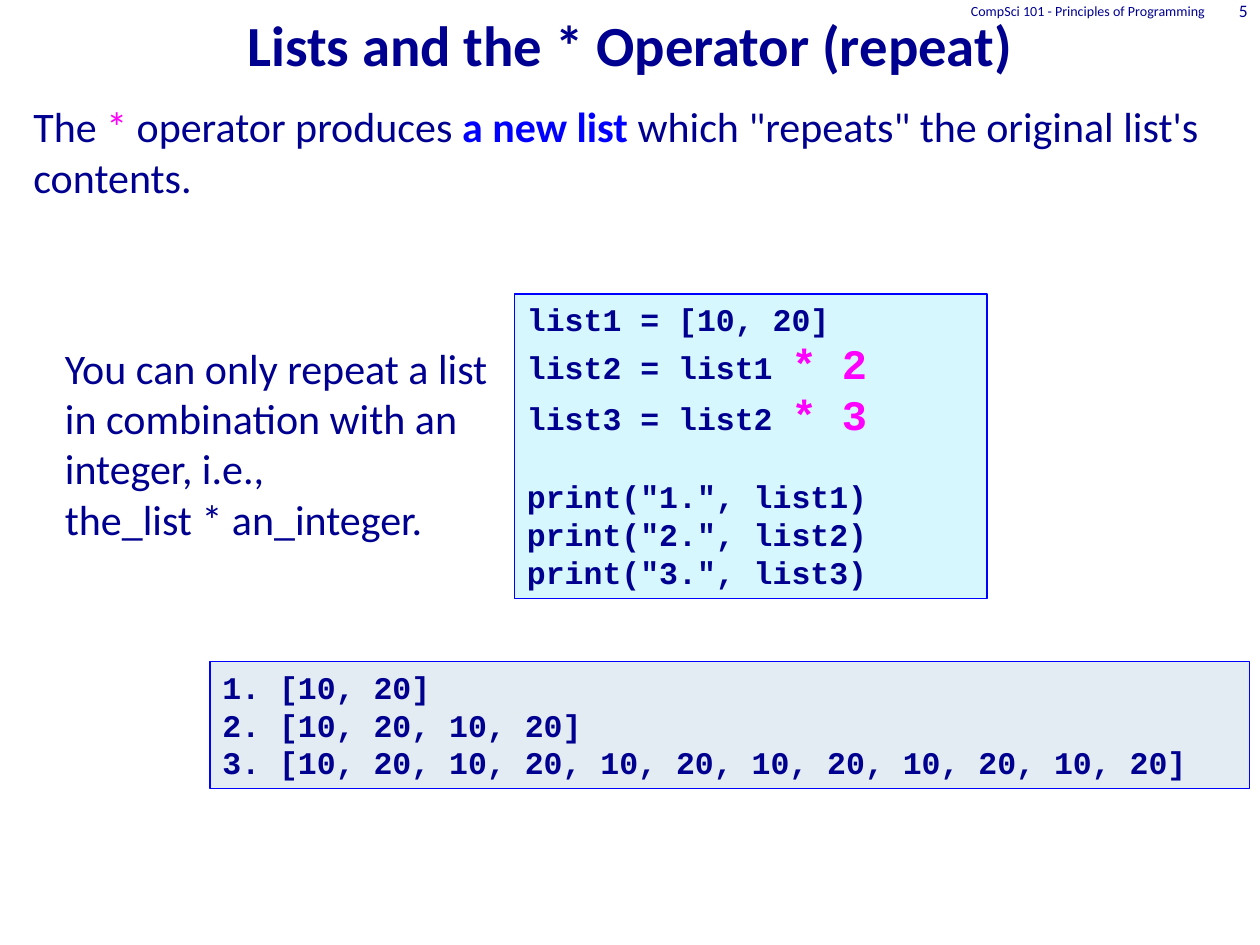
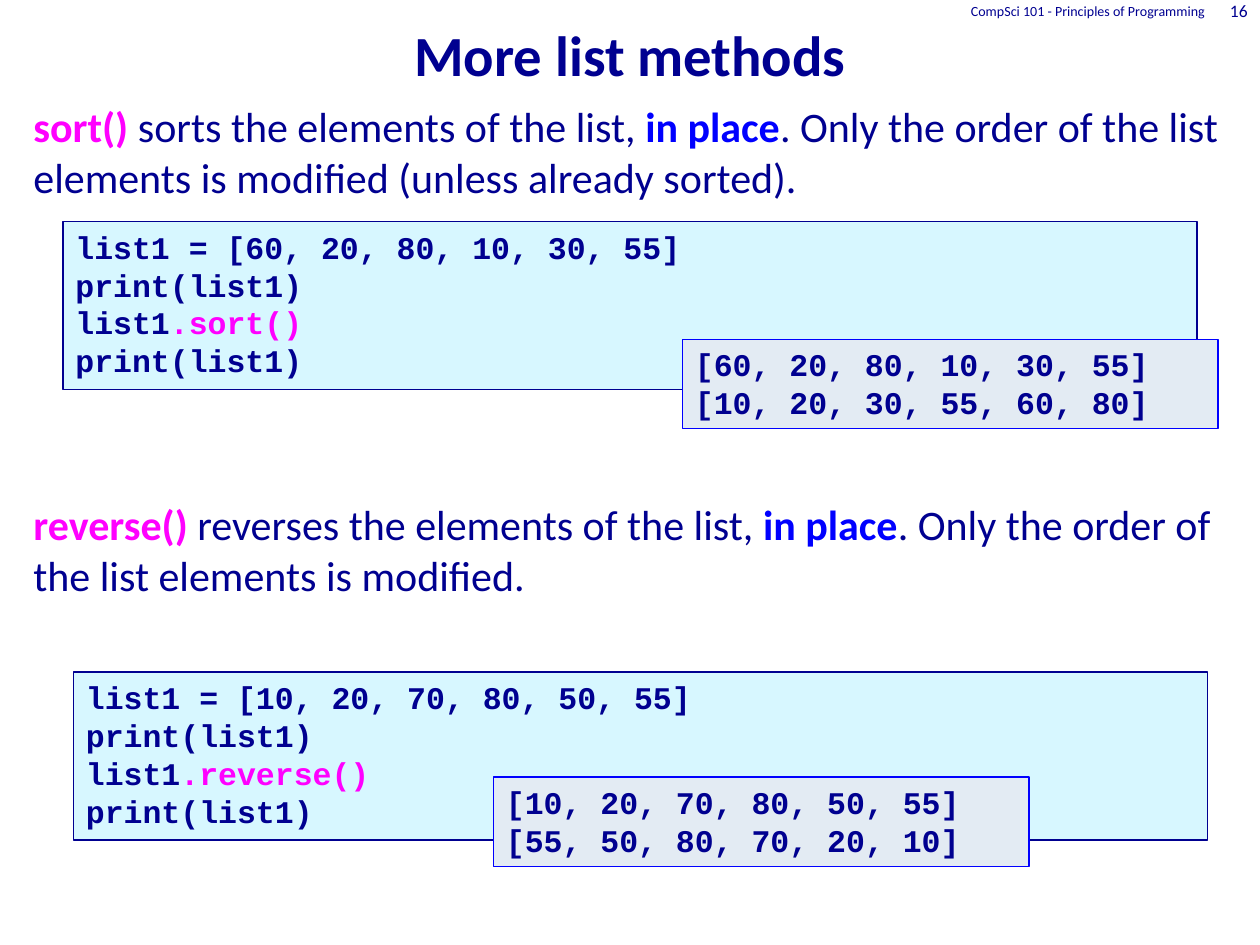
"""Two lecture slides on Python lists: repetition, sorting and reversing."""
from pptx import Presentation
from pptx.dml.color import RGBColor
from pptx.enum.shapes import MSO_SHAPE
from pptx.enum.text import MSO_ANCHOR, PP_ALIGN
from pptx.util import Inches, Pt

NAVY = RGBColor(0x00, 0x00, 0x90)
BLUE = RGBColor(0x00, 0x00, 0xFF)
PINK = RGBColor(0xFF, 0x00, 0xFF)
AQUA = RGBColor(0xD7, 0xF7, 0xFF)
GREY = RGBColor(0xE3, 0xEB, 0xF3)

LEFT, RIGHT, CENTER = PP_ALIGN.LEFT, PP_ALIGN.RIGHT, PP_ALIGN.CENTER
TOP, MIDDLE, BOTTOM = MSO_ANCHOR.TOP, MSO_ANCHOR.MIDDLE, MSO_ANCHOR.BOTTOM
RECT = MSO_SHAPE.RECTANGLE

SANS, MONO = "Calibri", "Courier New"
WIDTH, HEIGHT = Inches(10), Inches(7.5)
COLS, ROWS = 120, 90
COURSE = "CompSci 101 - Principles of Programming"


def cell(col, row, cols, rows):
    """Turn grid columns and rows into slide lengths."""
    across, down = WIDTH / COLS, HEIGHT / ROWS
    return [round(n) for n in (col * across, row * down,
                               cols * across, rows * down)]


def write(frame, lines, size, font=SANS, bold=False, align=LEFT,
          anchor=TOP, gaps=None):
    """Fill a frame; a line lists runs of text, colour, bold and size."""
    frame.word_wrap = True
    frame.vertical_anchor = anchor
    for i, runs in enumerate(lines):
        para = frame.add_paragraph() if i else frame.paragraphs[0]
        para.alignment = align
        para.space_before = Pt((gaps or {}).get(i, 0))
        for item in [runs] if isinstance(runs, str) else runs:
            text, *look = (item,) if isinstance(item, str) else item
            style = dict(zip(("color", "bold", "size"), look))
            run = para.add_run()
            run.text = text
            run.font.name = font
            run.font.size = Pt(style.get("size", size))
            run.font.bold = style.get("bold", bold)
            run.font.color.rgb = style.get("color", NAVY)


def prose(slide, place, lines, size=24, **look):
    """Add a plain text box."""
    box = slide.shapes.add_textbox(*cell(*place))
    write(box.text_frame, lines, size, **look)
    return box.text_frame


def panel(slide, place, lines, fill, edge=BLUE, gaps=None):
    """Add a framed box of code or of printed output."""
    box = slide.shapes.add_shape(RECT, *cell(*place))
    box.shadow.inherit = False
    box.fill.solid()
    box.fill.fore_color.rgb = fill
    box.line.color.rgb = edge
    box.line.width = Pt(0.75)
    write(box.text_frame, lines, 18, MONO, True, gaps=gaps)


def header(slide, place, text, size):
    """Add a small right-aligned text at the top edge."""
    frame = prose(slide, place, [text], size, align=RIGHT, anchor=MIDDLE)
    frame.margin_top = frame.margin_bottom = 0


def start(deck, title, place, number):
    """Add a slide with its title, course name and number."""
    slide = deck.slides.add_slide(deck.slide_layouts[5])
    head = slide.shapes.title
    head.left, head.top, head.width, head.height = cell(*place)
    write(head.text_frame, [title], 32.4, bold=True, align=CENTER,
          anchor=BOTTOM)
    header(slide, (80, 0, 36, 2), COURSE, 8)
    header(slide, (113, 0, 7, 2), str(number), 10)
    return slide


def demo(slide, code, out, name, old, new):
    """Show a list method: code at one spot, output overlapping it."""
    lines = [f"list1 = {old}", "print(list1)",
             ["list1", (f".{name}()", PINK, True)], "print(list1)"]
    panel(slide, (*code, 108, 16), lines, AQUA, NAVY)
    panel(slide, (*out, 51, 8.5), [str(old), str(new)], GREY)


def repeat(deck):
    """Build the slide on the repeat operator."""
    slide = start(deck, "Lists and the * Operator (repeat)",
                  (0, 0, 120, 8), 5)
    prose(slide, (2, 9, 116.4, 12), [[
        "The", (" * ", PINK), "operator produces ",
        ("a new list ", BLUE, True),
        "which \"repeats\" the original list's contents."]])
    code = ["list1 = [10, 20]"]
    code += [[f"list{n} = list{n - 1} ", (f"* {n}", PINK, True, 24)]
             for n in (2, 3)]
    code += [f'print("{n}.", list{n})' for n in (1, 2, 3)]
    panel(slide, (49, 28, 45, 29), code, AQUA, gaps={3: 22})
    out = [f"{n}. {[10, 20] * times}"
           for n, times in enumerate((1, 2, 6), 1)]
    panel(slide, (20, 63, 99, 12.1), out, GREY)
    prose(slide, (5, 32, 44, 20.6), [
        "You can only repeat a list",
        "in combination with an integer, i.e.,",
        "the_list * an_integer."])


def methods(deck):
    """Build the slide on sort and reverse."""
    slide = start(deck, "More list methods", (0, 2, 120, 7), 16)
    place = ("in place", BLUE, True)
    prose(slide, (2, 9, 118, 71), [
        [("sort() ", PINK, True), "sorts the elements of the list, ", place,
         ". Only the order of the list elements is modified "
         "(unless already sorted)."],
        [("reverse() ", PINK, True), "reverses the elements of the list, ",
         place, ". Only the order of the list elements is modified."],
    ], gaps={1: 170})
    nums = [60, 20, 80, 10, 30, 55]
    demo(slide, (6, 21.1), (65, 32.3), "sort", nums, sorted(nums))
    nums = [10, 20, 70, 80, 50, 55]
    demo(slide, (7, 64), (47, 74), "reverse", nums, nums[::-1])


def main():
    """Build and save the deck."""
    deck = Presentation()
    deck.slide_width, deck.slide_height = WIDTH, HEIGHT
    repeat(deck)
    methods(deck)
    deck.save("out.pptx")


if __name__ == "__main__":
    main()
